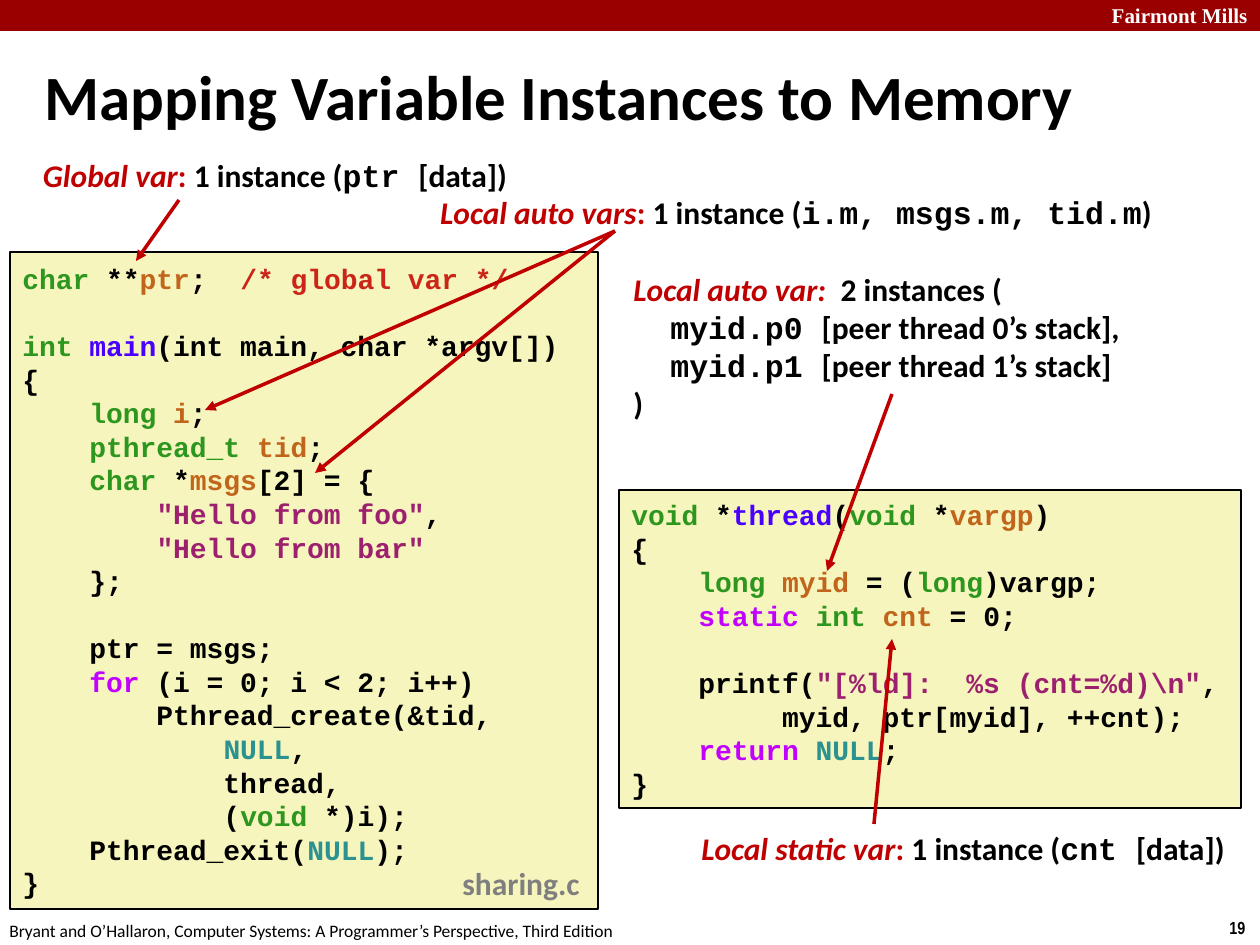
from lxml import etree
from pptx import Presentation
from pptx import util as u
from pptx.dml.color import RGBColor
from pptx.enum import shapes, text
from pptx.oxml import ns

PX_PER_INCH = 126
EMU_PER_PX = u.Inches(1) / PX_PER_INCH
BODY, MONO = "Calibri", "Courier New"
MARK = "§"

COLORS = {
    "banner": "990000", "white": "FFFFFF", "plain": "000000", "code_bg": "F6F5BD",
    "file": "7F7F7F", "arrow": "C00000", "term": "C00000", "label": "C00000",
    "type": "2D961E", "var": "C1651C", "comment": "CB2418", "func": "4A00FF",
    "string": "9D206F", "keyword": "C200FF", "const": "2C9290", "mono": "000000",
}

MAIN_CODE = """\
§type:char§ **§var:ptr§;  §comment:/* global var */§

§type:int §§func:main§(int main, char *argv[])
{
    §type:long §§var:i§;
    §type:pthread_t §§var:tid§;
    §type:char§ *§var:msgs§[2] = {
        §string:"Hello from foo"§,
        §string:"Hello from bar"§
    };

    ptr = msgs;
    §keyword:for§ (i = 0; i < 2; i++)
        Pthread_create(&tid,
            §const:NULL§,
            thread,
            (§type:void§ *)i);
    Pthread_exit(§const:NULL§);
}"""

THREAD_CODE = r"""§type:void§ *§func:thread§(§type:void§ *§var:vargp§)
{
    §type:long §§var:myid§ = (§type:long§)vargp;
    §keyword:static §§type:int §§var:cnt§ = 0;

    printf(§string:"[%ld]:  %s (cnt=%d)\n"§,
         myid, ptr[myid], ++cnt);
    §keyword:return §§const:NULL§;
}"""

GLOBAL_NOTE = "§term:Global var§§label:: §1 instance (§mono:ptr §[data])"
STATIC_NOTE = "§term:Local static var§§label:: §1 instance (§mono:cnt §[data])"
AUTO_VARS_NOTE = "§term:Local auto vars§§label:: §1 instance (§mono:i.m, msgs.m, tid.m§)"
MYID_NOTE = """§term:Local auto var:  §2 instances (
§mono:myid.p0 §[peer thread 0’s stack],
§mono:myid.p1 §[peer thread 1’s stack]
)"""

ARROWS = [  # tail x, y, head x, y
    (179, 200, 136, 261),
    (874, 824, 892, 639),
    (615, 231, 205, 410),
    (892, 394, 827, 571),
    (615, 231, 315, 473),
]


def px(length):
    return u.Emu(round(length * EMU_PER_PX))


def rgb(name):
    return RGBColor.from_string(COLORS[name])


def style_run(run, size, font, color, bold=True, italic=False):
    run.font.size = u.Pt(size)
    run.font.name = font
    run.font.bold = bold
    run.font.italic = italic
    run.font.color.rgb = rgb(color)


def write_marked(frame, marked, size, font):
    """Fill a frame from lines in which §role:words§ sets the style of the words."""
    for number, line in enumerate(marked.split("\n")):
        paragraph = frame.paragraphs[0] if number == 0 else frame.add_paragraph()
        paragraph.alignment = text.PP_ALIGN.LEFT
        paragraph.font.size = u.Pt(size)
        paragraph.font.name = font
        for position, piece in enumerate(line.split(MARK)):
            role, words = "plain", piece
            if position % 2:
                role, _, words = piece.partition(":")
            if words:
                run = paragraph.add_run()
                run.text = words
                style_run(run, size, MONO if role == "mono" else font, role,
                          italic=role == "term")


def add_box(slide, box, fill, outlined=False):
    rect = slide.shapes.add_shape(shapes.MSO_SHAPE.RECTANGLE, *map(px, box))
    rect.shadow.inherit = False
    rect.fill.solid()
    rect.fill.fore_color.rgb = rgb(fill)
    if outlined:
        rect.line.color.rgb = rgb("plain")
        rect.line.width = u.Pt(1)
    else:
        rect.line.fill.background()
    return rect


def add_code(slide, box, code):
    frame = add_box(slide, box, "code_bg", outlined=True).text_frame
    frame.word_wrap = False
    frame.vertical_anchor = text.MSO_ANCHOR.MIDDLE
    write_marked(frame, code, 16, MONO)


def add_label(slide, box, words, size, font, color="plain", bold=True,
              align=text.PP_ALIGN.LEFT):
    frame = slide.shapes.add_textbox(*map(px, box)).text_frame
    frame.word_wrap = True
    frame.text = words
    frame.paragraphs[0].alignment = align
    style_run(frame.paragraphs[0].runs[0], size, font, color, bold)


def add_note(slide, box, marked, align=text.PP_ALIGN.CENTER):
    frame = slide.shapes.add_textbox(*map(px, box)).text_frame
    frame.word_wrap = False
    frame.margin_top = frame.margin_bottom = 0
    frame.vertical_anchor = text.MSO_ANCHOR.MIDDLE
    write_marked(frame, marked, 18, BODY)
    for paragraph in frame.paragraphs:
        paragraph.alignment = align
    return frame


def add_arrow(slide, ends):
    arrow = slide.shapes.add_connector(shapes.MSO_CONNECTOR.STRAIGHT, *map(px, ends))
    arrow.line.color.rgb = rgb("arrow")
    arrow.line.width = u.Pt(2)
    etree.SubElement(arrow.line._get_or_add_ln(), ns.qn("a:tailEnd"), type="triangle")
    etree.SubElement(arrow._element.spPr, ns.qn("a:effectLst"))


def set_title(slide, box, words):
    title = slide.shapes.title
    title.left, title.top, title.width, title.height = map(px, box)
    frame = title.text_frame
    frame.text = words
    frame.auto_size = text.MSO_AUTO_SIZE.NONE
    frame.vertical_anchor = text.MSO_ANCHOR.MIDDLE
    frame.paragraphs[0].alignment = text.PP_ALIGN.LEFT
    style_run(frame.paragraphs[0].runs[0], 36, BODY, "plain")


def main():
    deck = Presentation()
    deck.slide_width, deck.slide_height = px(1260), px(945)
    slide = deck.slides.add_slide(deck.slide_layouts[5])

    add_box(slide, (0, 0, 1260, 31), "banner")
    add_label(slide, (1060, -4, 200, 38), "Fairmont Mills", 12, "Times New Roman", "white",
              align=text.PP_ALIGN.RIGHT)
    add_label(slide, (1217, 911, 43, 34), "19", 10, "Arial Narrow")
    add_label(slide, (-3, 914, 640, 34),
              "Bryant and O’Hallaron, Computer Systems: A Programmer’s Perspective, Third Edition",
              10, BODY, bold=False)
    set_title(slide, (32, 42, 1236, 107), "Mapping Variable Instances to Memory")

    add_code(slide, (10, 252, 588, 657), MAIN_CODE)
    add_code(slide, (619, 490, 622, 318), THREAD_CODE)
    add_label(slide, (450, 858, 144, 50), "sharing.c", 18, BODY, "file")

    add_note(slide, (28, 156, 494, 38), GLOBAL_NOTE)
    add_note(slide, (685, 829, 556, 38), STATIC_NOTE)
    add_note(slide, (425, 193, 742, 38), AUTO_VARS_NOTE)
    myid_note = add_note(slide, (621, 270, 533, 152), MYID_NOTE, text.PP_ALIGN.LEFT)
    for instance in myid_note.paragraphs[1:3]:
        instance._p.get_or_add_pPr().set("marL", str(px(37)))

    for ends in ARROWS:
        add_arrow(slide, ends)

    deck.save("out.pptx")


if __name__ == "__main__":
    main()
